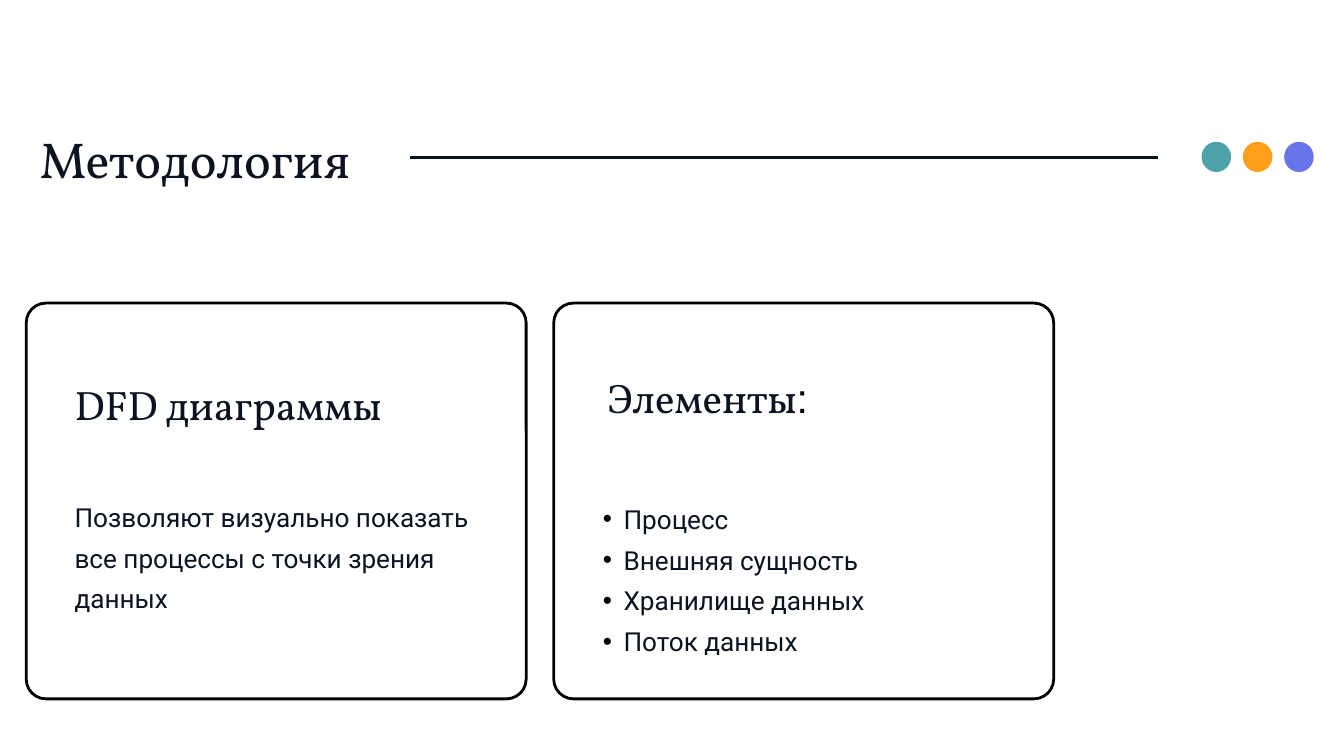
"""Build the methodology slide with two outlined cards."""
from dataclasses import dataclass

from lxml import etree
from pptx import Presentation
from pptx.dml.color import RGBColor
from pptx.enum.shapes import MSO_CONNECTOR, MSO_SHAPE
from pptx.oxml.ns import qn
from pptx.slide import Slide
from pptx.util import Inches, Pt

OVAL = MSO_SHAPE.OVAL
ROUND = MSO_SHAPE.ROUNDED_RECTANGLE
STRAIGHT = MSO_CONNECTOR.STRAIGHT

COLORS = {
    "ink": "0B1320",
    "black": "000000",
    "gray": "111111",
    "teal": "4DA1A9",
    "orange": "FF9F1C",
    "violet": "6874E8",
}


@dataclass(frozen=True)
class Span:
    text: str
    size: float
    font: str
    color: str = "ink"


@dataclass(frozen=True)
class Block:
    left: float
    top: float
    width: float
    height: float
    lines: tuple[tuple[Span, ...], ...]
    spacing: float = 1.3
    bullet: bool = False


def tint(name: str) -> RGBColor:
    return RGBColor.from_string(COLORS[name])


def body(text: str) -> tuple[Span, ...]:
    return (Span(text, 28, "Roboto"),)


def add_bullet(props: etree._Element) -> None:
    indent = Inches(0.31)
    props.set("marL", str(indent))
    props.set("indent", str(-indent))
    color = etree.SubElement(props, qn("a:buClr"))
    etree.SubElement(color, qn("a:srgbClr"), val=COLORS["black"])
    etree.SubElement(props, qn("a:buFont"), typeface="Arial")
    etree.SubElement(props, qn("a:buChar"), char="•")


def add_block(slide: Slide, block: Block) -> None:
    box = slide.shapes.add_textbox(
        Inches(block.left), Inches(block.top), Inches(block.width), Inches(block.height)
    )
    frame = box.text_frame
    frame.word_wrap = True
    frame.margin_left = frame.margin_right = Inches(0)
    frame.margin_top = frame.margin_bottom = Inches(0)
    for index, spans in enumerate(block.lines):
        para = frame.add_paragraph() if index else frame.paragraphs[0]
        para.line_spacing = block.spacing
        if block.bullet:
            add_bullet(para._p.get_or_add_pPr())
        for span in spans:
            run = para.add_run()
            run.text = span.text
            run.font.size = Pt(span.size)
            run.font.name = span.font
            run.font.color.rgb = tint(span.color)


def add_card(slide: Slide, left: float) -> None:
    card = slide.shapes.add_shape(
        ROUND, Inches(left), Inches(4.51), Inches(7.44), Inches(5.89)
    )
    card.adjustments[0] = 0.05
    card.shadow.inherit = False
    card.fill.background()
    card.line.color.rgb = tint("black")
    card.line.width = Pt(3)


def add_dot(slide: Slide, left: float, color: str) -> None:
    dot = slide.shapes.add_shape(
        OVAL, Inches(left), Inches(2.11), Inches(0.44), Inches(0.45)
    )
    dot.shadow.inherit = False
    dot.fill.solid()
    dot.fill.fore_color.rgb = tint(color)
    dot.line.fill.background()


def add_rule(slide: Slide) -> None:
    rule = slide.shapes.add_connector(
        STRAIGHT, Inches(6.1), Inches(2.34), Inches(17.23), Inches(2.34)
    )
    rule.line.color.rgb = tint("ink")
    rule.line.width = Pt(3)
    etree.SubElement(rule._element.spPr, qn("a:effectLst"))


BLOCKS = (
    Block(0.59, 1.72, 7.44, 1.09, ((Span("Методология", 54, "Vollkorn"),),), 1.2),
    Block(1.11, 5.24, 6.1, 2.14, ((
        Span("DFD диаграммы", 44, "Vollkorn"),
        Span(" ", 54, "Lato", "gray"),
    ),)),
    Block(1.11, 7.32, 5.98, 1.84, (
        body("Позволяют визуально показать все процессы с точки зрения данных"),
    )),
    Block(9.04, 5.32, 6.1, 0.63, ((
        Span("Элементы", 44, "Vollkorn"),
        Span(":", 44, "Arial", "black"),
    ),)),
    Block(8.97, 7.35, 5.98, 2.76, (
        body("Процесс"),
        body("Внешняя сущность"),
        body("Хранилище данных"),
        body("Поток данных"),
    ), bullet=True),
)


def main() -> None:
    deck = Presentation()
    deck.slide_width = Inches(20)
    deck.slide_height = Inches(11.25)
    slide = deck.slides.add_slide(deck.slide_layouts[6])
    add_rule(slide)
    for index, color in enumerate(("teal", "orange", "violet")):
        add_dot(slide, 17.88 + 0.615 * index, color)
    for left in (0.39, 8.24):
        add_card(slide, left)
    for block in BLOCKS:
        add_block(slide, block)
    deck.save("out.pptx")


if __name__ == "__main__":
    main()
